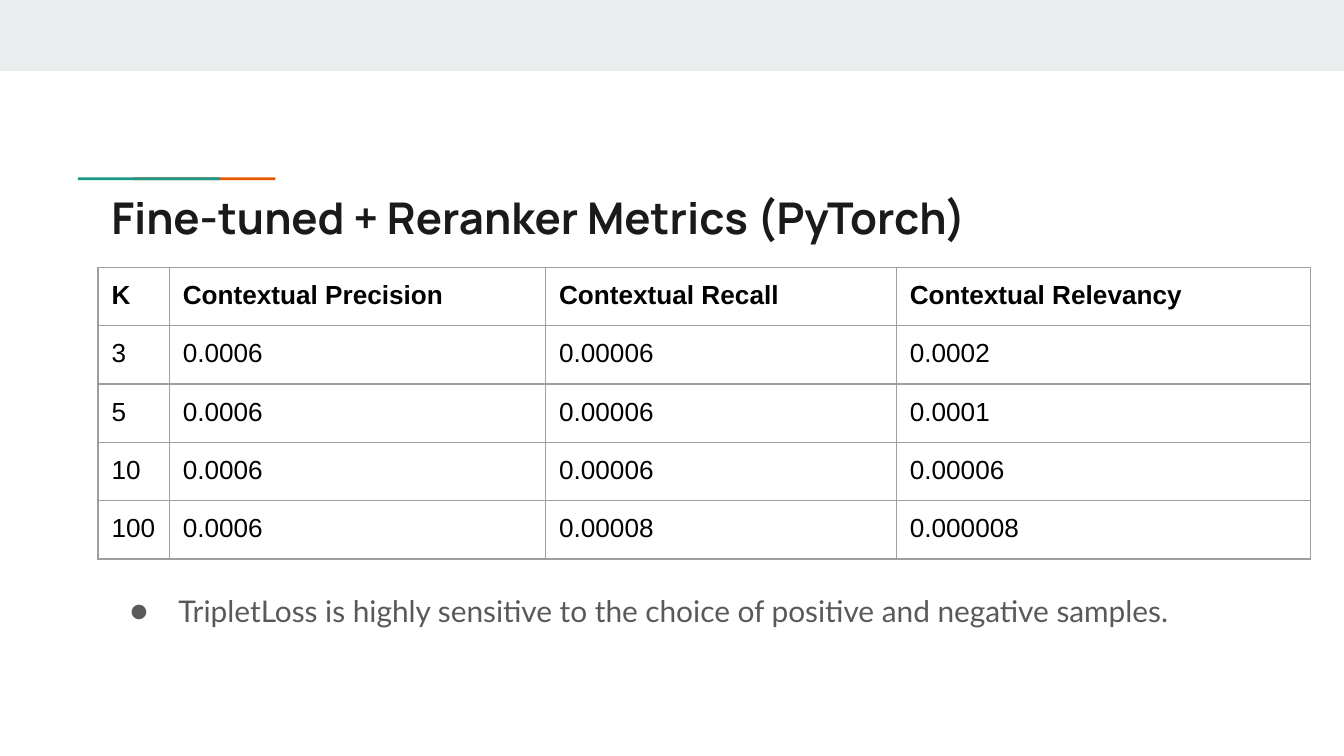
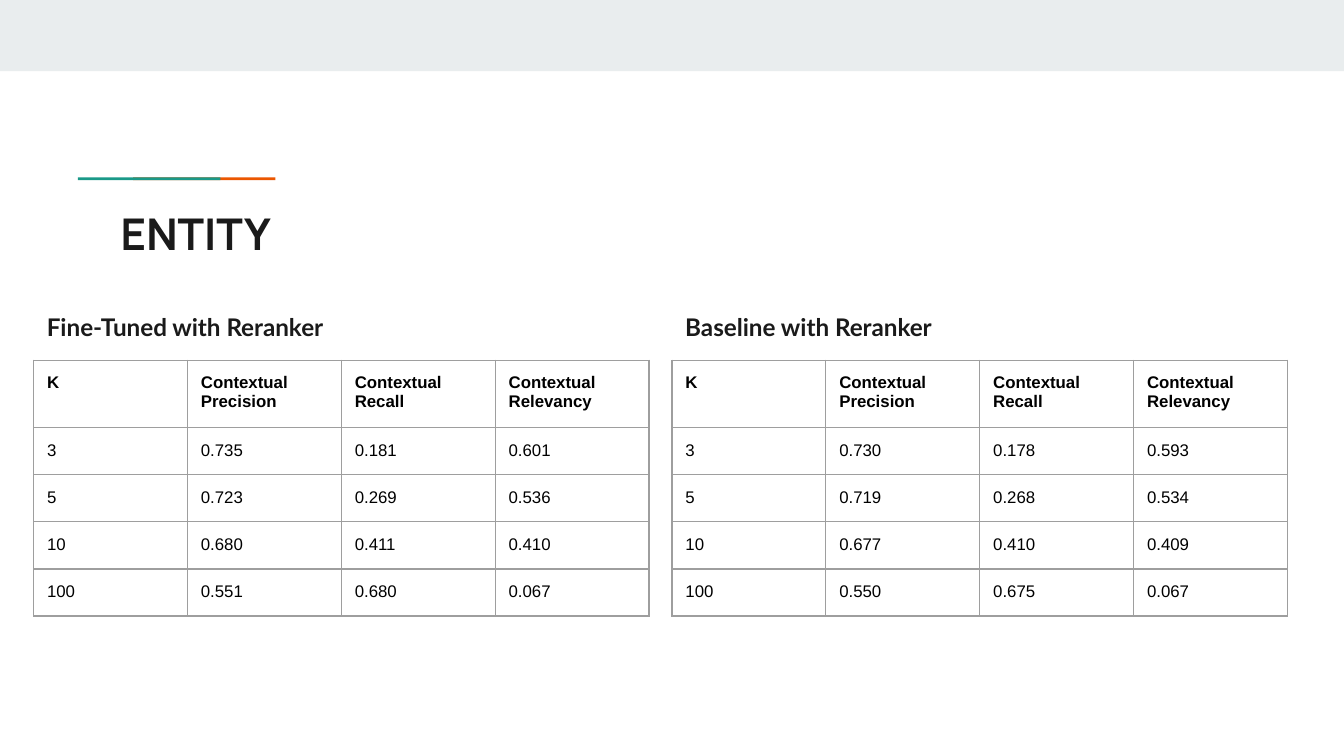
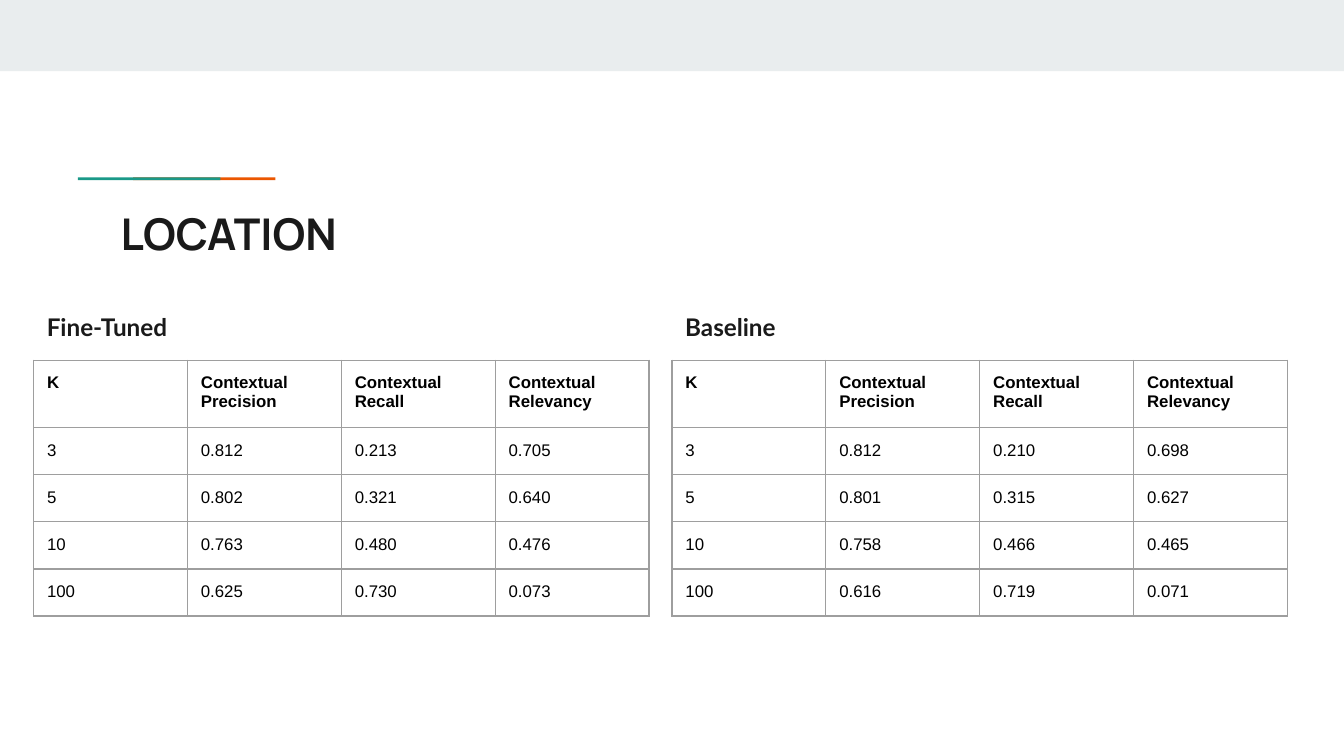
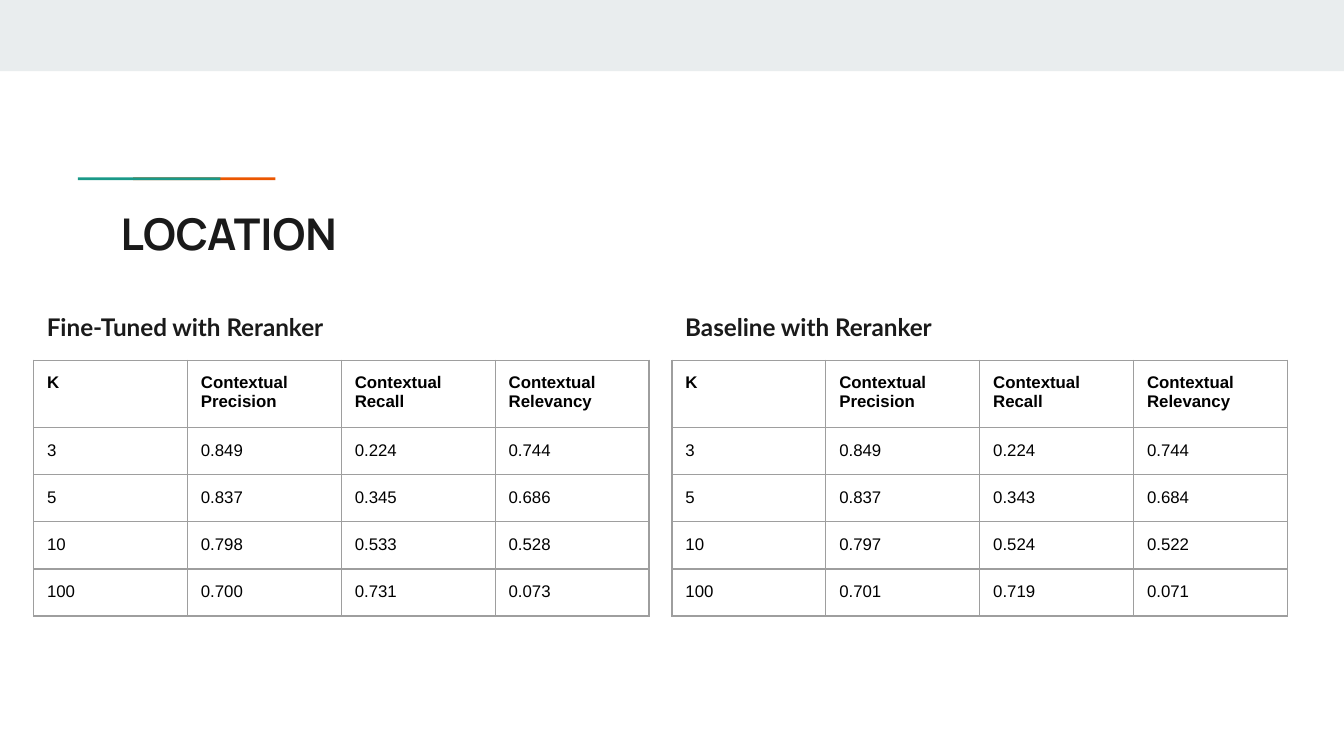
"""Build four slides comparing retrieval metrics in tables."""
from dataclasses import dataclass

import pptx
import pptx.dml.color
import pptx.enum.shapes
import pptx.enum.text
import pptx.oxml.ns
import pptx.presentation
import pptx.slide
import pptx.table
import pptx.text.text
import pptx.util
from lxml import etree

Inches = pptx.util.Inches
MIDDLE = pptx.enum.text.MSO_ANCHOR.MIDDLE
TOP = pptx.enum.text.MSO_ANCHOR.TOP


@dataclass(frozen=True)
class TextStyle:
    font: str
    size: float
    color: str
    bold: bool = False


@dataclass(frozen=True)
class Theme:
    band: str = "E9EDEE"
    teal: str = "1A9988"
    orange: str = "EB5600"
    grid: str = "9E9E9E"
    grid_width: float = 0.75
    inset: float = 0.1
    title: TextStyle = TextStyle("Manrope", 23.4, "1A1A1A", True)
    caption: TextStyle = TextStyle("Lato", 13, "1A1A1A", True)
    note: TextStyle = TextStyle("Lato", 16, "595959")
    large_head: TextStyle = TextStyle("Arial", 14, "000000", True)
    large_body: TextStyle = TextStyle("Arial", 14, "000000")
    small_head: TextStyle = TextStyle("Arial", 9, "000000", True)
    small_body: TextStyle = TextStyle("Arial", 9, "000000")


@dataclass(frozen=True)
class Area:
    left: float
    top: float
    width: float
    height: float

    def lengths(self) -> list[pptx.util.Length]:
        return [Inches(n) for n in (self.left, self.top, self.width, self.height)]


@dataclass(frozen=True)
class Bar:
    area: Area
    color: str


@dataclass(frozen=True)
class TableLayout:
    columns: tuple[float, ...]
    rows: tuple[float, ...]
    head: TextStyle
    body: TextStyle


@dataclass(frozen=True)
class Panel:
    caption: str
    scores: tuple[str, ...]


@dataclass(frozen=True)
class Comparison:
    title: str
    panels: tuple[Panel, Panel]


THEME = Theme()
BARS = (
    Bar(Area(0, 0, 10, 0.53), THEME.band),
    Bar(Area(0.99, 1.32, 1.06, 0.02), THEME.orange),
    Bar(Area(0.58, 1.32, 1.06, 0.02), THEME.teal),
)
HEADINGS = ("K", "Contextual Precision", "Contextual Recall", "Contextual Relevancy")
CUTOFFS = ("3", "5", "10", "100")
LARGE = TableLayout((0.53, 2.8, 2.61, 3.08), (0.43,) * 5, THEME.large_head, THEME.large_body)
SMALL = TableLayout((4.58 / 4,) * 4, (0.35, 0.26, 0.23, 0.23, 0.23),
                    THEME.small_head, THEME.small_body)
CAPTION_AREAS = (Area(0.25, 2.22, 3.76, 0.28), Area(5, 2.22, 3.69, 0.28))

PYTORCH_SCORES = (
    "0.0006 0.00006 0.0002",
    "0.0006 0.00006 0.0001",
    "0.0006 0.00006 0.00006",
    "0.0006 0.00008 0.000008",
)
COMPARISONS = (
    Comparison("ENTITY", (
        Panel("Fine-Tuned with Reranker", (
            "0.735 0.181 0.601", "0.723 0.269 0.536", "0.680 0.411 0.410", "0.551 0.680 0.067")),
        Panel("Baseline with Reranker", (
            "0.730 0.178 0.593", "0.719 0.268 0.534", "0.677 0.410 0.409", "0.550 0.675 0.067")),
    )),
    Comparison("LOCATION", (
        Panel("Fine-Tuned", (
            "0.812 0.213 0.705", "0.802 0.321 0.640", "0.763 0.480 0.476", "0.625 0.730 0.073")),
        Panel("Baseline", (
            "0.812 0.210 0.698", "0.801 0.315 0.627", "0.758 0.466 0.465", "0.616 0.719 0.071")),
    )),
    Comparison("LOCATION", (
        Panel("Fine-Tuned with Reranker", (
            "0.849 0.224 0.744", "0.837 0.345 0.686", "0.798 0.533 0.528", "0.700 0.731 0.073")),
        Panel("Baseline with Reranker", (
            "0.849 0.224 0.744", "0.837 0.343 0.684", "0.797 0.524 0.522", "0.701 0.719 0.071")),
    )),
)


def rgb(color: str) -> pptx.dml.color.RGBColor:
    return pptx.dml.color.RGBColor.from_string(color)


def add_element(parent: etree._Element, tag: str, **attributes: str) -> etree._Element:
    return etree.SubElement(parent, pptx.oxml.ns.qn(tag), attributes)


def style_paragraph(para: pptx.text.text._Paragraph, style: TextStyle) -> None:
    para.font.name = style.font
    para.font.size = pptx.util.Pt(style.size)
    para.font.bold = style.bold
    para.font.color.rgb = rgb(style.color)


def add_bullet(para: pptx.text.text._Paragraph, style: TextStyle) -> None:
    properties = para._p.get_or_add_pPr()
    properties.set("marL", str(Inches(0.5)))
    properties.set("indent", str(Inches(-0.36)))
    add_element(add_element(properties, "a:buClr"), "a:srgbClr", val=style.color)
    add_element(properties, "a:buFont", typeface=style.font)
    add_element(properties, "a:buChar", char="●")


def add_text(page: pptx.slide.Slide, area: Area, text: str, style: TextStyle,
             anchor: pptx.enum.text.MSO_ANCHOR = TOP, bulleted: bool = False) -> None:
    frame = page.shapes.add_textbox(*area.lengths()).text_frame
    frame.word_wrap = True
    frame.vertical_anchor = anchor
    frame.margin_left = frame.margin_right = Inches(THEME.inset)
    frame.margin_top = frame.margin_bottom = Inches(THEME.inset)
    para = frame.paragraphs[0]
    para.text = text
    if bulleted:
        add_bullet(para, style)
    style_paragraph(para, style)


def add_page(deck: pptx.presentation.Presentation, title: str,
             left: float, top: float) -> pptx.slide.Slide:
    page = deck.slides.add_slide(deck.slide_layouts[6])
    for bar in BARS:
        shape = page.shapes.add_shape(pptx.enum.shapes.MSO_SHAPE.RECTANGLE, *bar.area.lengths())
        shape.shadow.inherit = False
        shape.fill.solid()
        shape.fill.fore_color.rgb = rgb(bar.color)
        shape.line.fill.background()
    add_text(page, Area(left, top, 8.41, 0.59), title, THEME.title, MIDDLE)
    return page


def fill_cell(cell: pptx.table._Cell, text: str, style: TextStyle) -> None:
    cell.margin_left = cell.margin_right = Inches(THEME.inset)
    cell.margin_top = cell.margin_bottom = Inches(THEME.inset)
    para = cell.text_frame.paragraphs[0]
    para.text = text
    style_paragraph(para, style)
    properties = cell._tc.get_or_add_tcPr()
    for side in ("a:lnL", "a:lnR", "a:lnT", "a:lnB"):
        border = add_element(properties, side, w=str(pptx.util.Pt(THEME.grid_width)))
        add_element(add_element(border, "a:solidFill"), "a:srgbClr", val=THEME.grid)
    cell.fill.background()


def add_metrics(page: pptx.slide.Slide, left: float, top: float,
                scores: tuple[str, ...], layout: TableLayout) -> None:
    lines = [HEADINGS] + [(cutoff, *line.split()) for cutoff, line in zip(CUTOFFS, scores)]
    area = Area(left, top, sum(layout.columns), sum(layout.rows))
    table = page.shapes.add_table(len(lines), len(HEADINGS), *area.lengths()).table
    table.first_row = table.horz_banding = False
    for column, width in zip(table.columns, layout.columns):
        column.width = Inches(width)
    for index, (row, height, values) in enumerate(zip(table.rows, layout.rows, lines)):
        row.height = Inches(height)
        for cell, value in zip(row.cells, values):
            fill_cell(cell, value, layout.body if index else layout.head)


def main() -> None:
    deck = pptx.Presentation()
    deck.slide_width = Inches(10)
    deck.slide_height = deck.slide_width * 9 // 16

    page = add_page(deck, "Fine-tuned + Reranker Metrics (PyTorch)", 0.73, 1.32)
    add_metrics(page, 0.73, 1.99, PYTORCH_SCORES, LARGE)
    add_text(page, Area(0.73, 4.31, 9.7, 0.74),
             "TripletLoss is highly sensitive to the choice of positive and negative samples.",
             THEME.note, bulleted=True)

    for comparison in COMPARISONS:
        page = add_page(deck, comparison.title, 0.8, 1.44)
        for area, panel in zip(CAPTION_AREAS, comparison.panels):
            add_metrics(page, area.left, 2.68, panel.scores, SMALL)
            add_text(page, area, panel.caption, THEME.caption)

    deck.save("out.pptx")


if __name__ == "__main__":
    main()
